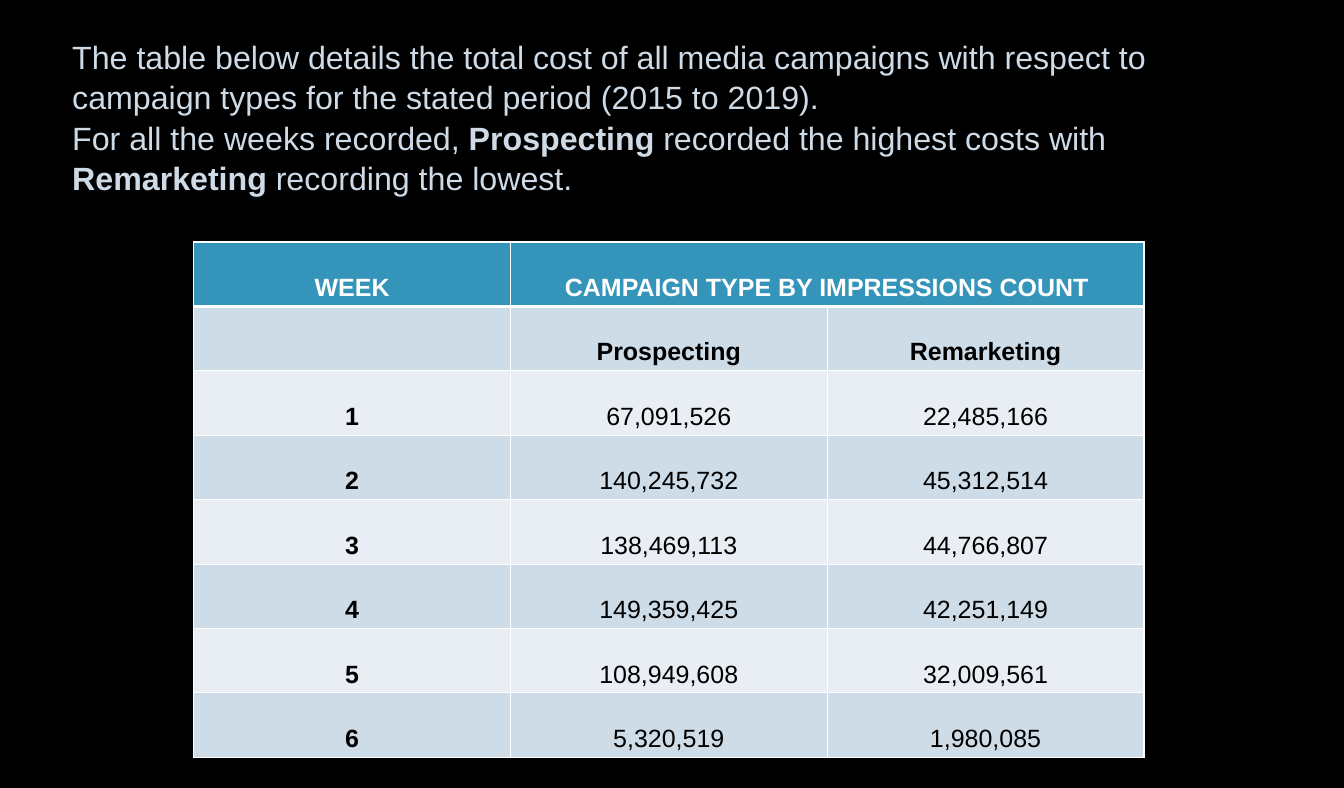
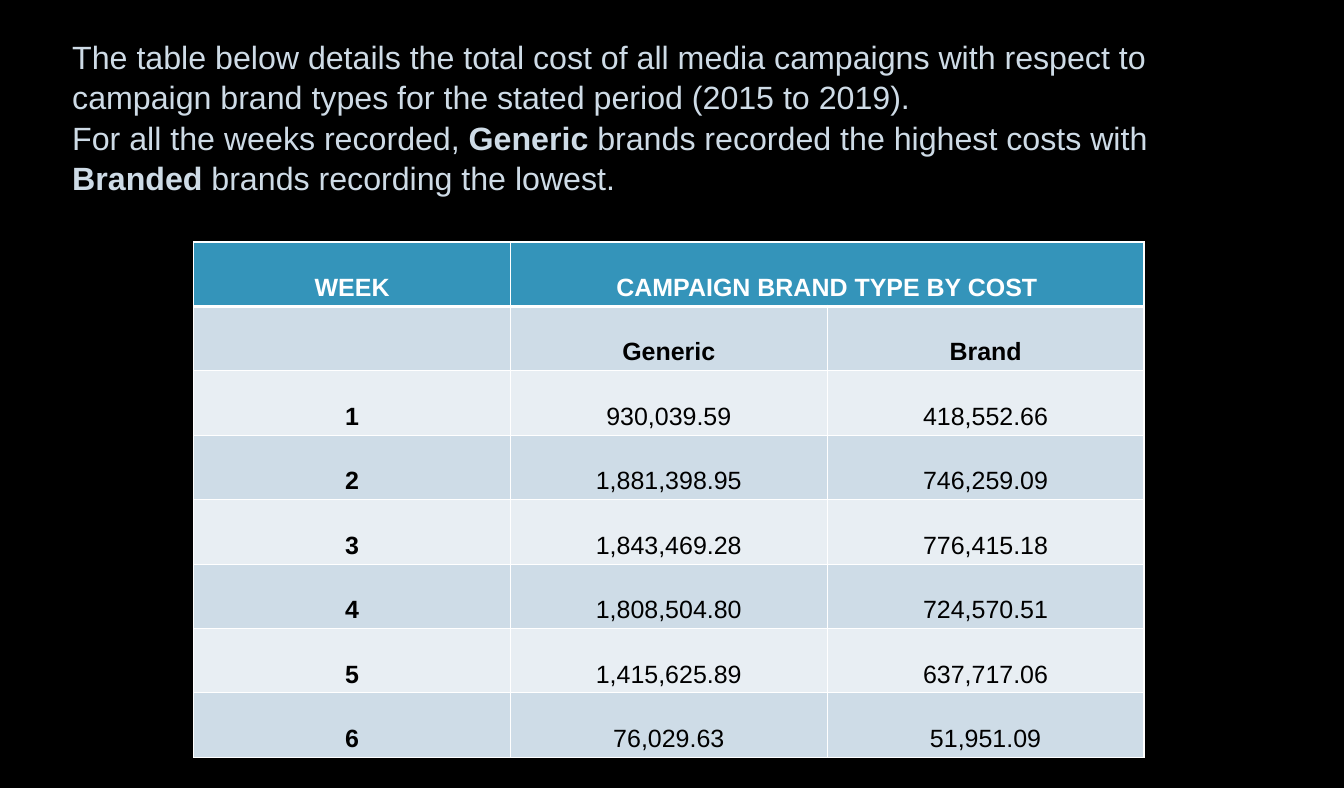
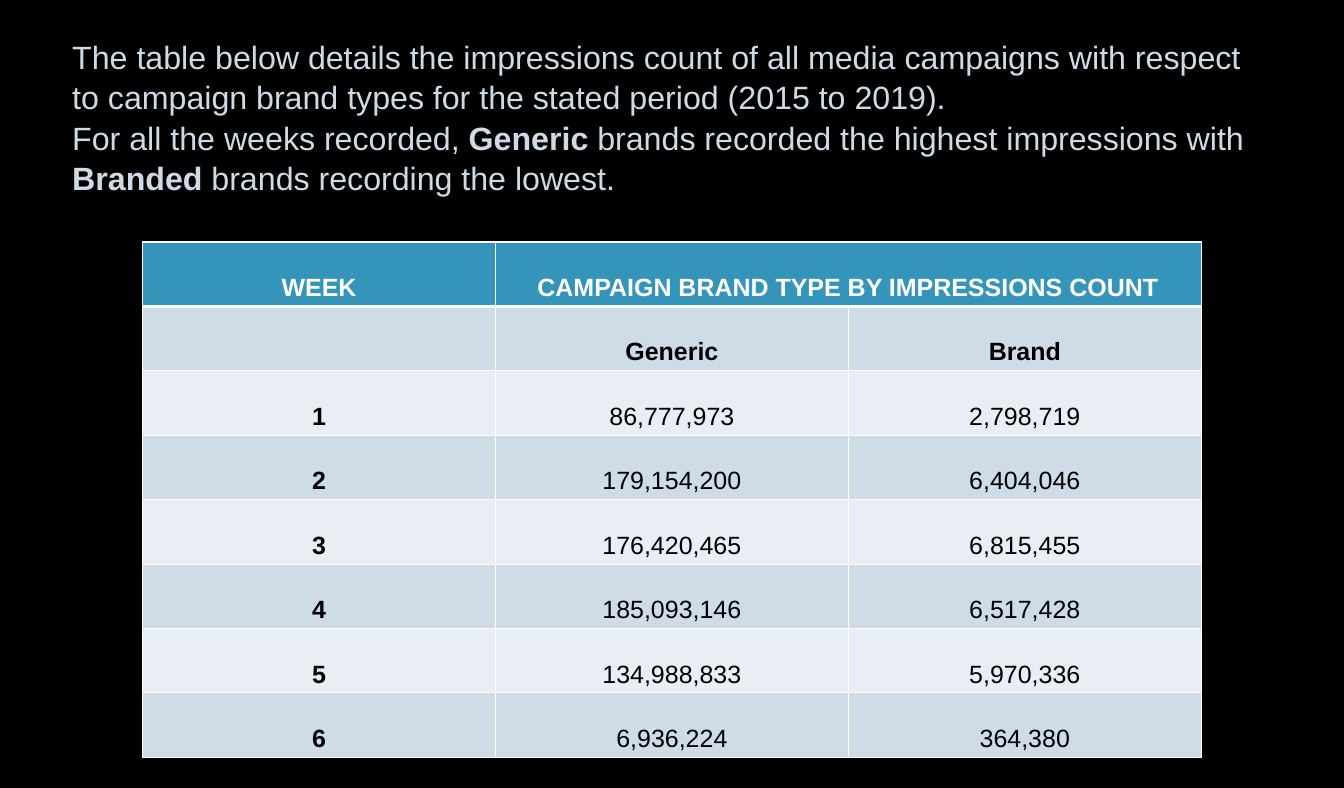
"""Build three slides that each set a cost or impressions table under a short summary."""
from dataclasses import dataclass
from typing import Any

from lxml import etree
from pptx import Presentation
from pptx.dml.color import RGBColor
from pptx.enum import text as t
from pptx.oxml.ns import qn
from pptx.util import Cm, Pt


@dataclass(frozen=True)
class Theme:
    back: str = "000000"
    intro: str = "CEDBE6"
    head: str = "3494BA"
    dark: str = "CEDCE7"
    light: str = "E8EEF3"
    line: str = "FFFFFF"
    ink: str = "000000"
    face: str = "Arial"
    big: float = 25
    small: float = 19.4
    thin: float = 1
    thick: float = 3


@dataclass(frozen=True)
class Page:
    lines: tuple[str, str]
    title: str
    names: tuple[str, str]
    rows: tuple[tuple[str, str], ...]
    left: float = 5.31
    width: float = 26.04


LOOK = Theme()
PAGES = (
    Page(
        ("The table below details the total cost of all media campaigns with respect to "
         "campaign types for the stated period (2015 to 2019).",
         "For all the weeks recorded, *Prospecting* recorded the highest costs with "
         "*Remarketing* recording the lowest."),
        "CAMPAIGN TYPE BY IMPRESSIONS COUNT",
        ("Prospecting", "Remarketing"),
        (("67,091,526", "22,485,166"), ("140,245,732", "45,312,514"),
         ("138,469,113", "44,766,807"), ("149,359,425", "42,251,149"),
         ("108,949,608", "32,009,561"), ("5,320,519", "1,980,085")),
    ),
    Page(
        ("The table below details the total cost of all media campaigns with respect to "
         "campaign brand types for the stated period (2015 to 2019).",
         "For all the weeks recorded, *Generic *brands recorded the highest costs with "
         "*Branded *brands recording the lowest."),
        "CAMPAIGN BRAND TYPE BY COST",
        ("Generic", "Brand"),
        (("930,039.59", "418,552.66"), ("1,881,398.95", "746,259.09"),
         ("1,843,469.28", "776,415.18"), ("1,808,504.80", "724,570.51"),
         ("1,415,625.89", "637,717.06"), ("76,029.63", "51,951.09")),
    ),
    Page(
        ("The table below details the impressions count of all media campaigns with respect "
         "to campaign brand types for the stated period (2015 to 2019).",
         "For all the weeks recorded, *Generic *brands recorded the highest impressions with "
         "*Branded *brands recording the lowest."),
        "CAMPAIGN BRAND TYPE BY IMPRESSIONS COUNT",
        ("Generic", "Brand"),
        (("86,777,973", "2,798,719"), ("179,154,200", "6,404,046"),
         ("176,420,465", "6,815,455"), ("185,093,146", "6,517,428"),
         ("134,988,833", "5,970,336"), ("6,936,224", "364,380")),
        left=3.91,
        width=29.01,
    ),
)


def apply(item: Any, form: dict[str, Any]) -> None:
    for key, val in form.items():
        setattr(item, key, val)


def add_run(para: Any, words: str, size: float, tint: str, bold: bool) -> None:
    run = para.add_run()
    run.text = words
    apply(run.font, {"name": LOOK.face, "size": Pt(size), "bold": bold})
    run.font.color.rgb = RGBColor.from_string(tint)


def add_edge(cell: Any, side: str, width: float) -> None:
    props = cell._tc.get_or_add_tcPr()
    edge = etree.SubElement(props, qn(f"a:ln{side}"), w=str(Pt(width)))
    fill = etree.SubElement(edge, qn("a:solidFill"))
    etree.SubElement(fill, qn("a:srgbClr"), val=LOOK.line)


def add_intro(slide: Any, lines: tuple[str, str]) -> None:
    frame = slide.shapes.add_textbox(Cm(1.73), Cm(0.84), Cm(33.22), Cm(4.52)).text_frame
    apply(frame, {"word_wrap": True, "auto_size": t.MSO_AUTO_SIZE.SHAPE_TO_FIT_TEXT})
    for num, line in enumerate(lines):
        para = frame.add_paragraph() if num else frame.paragraphs[0]
        para.line_spacing = 1.05
        for part, words in enumerate(line.split("*")):
            add_run(para, words, LOOK.big, LOOK.intro, part % 2 == 1)


def add_grid(slide: Any, page: Page) -> None:
    weeks = [(str(num), *row) for num, row in enumerate(page.rows, 1)]
    data = [("WEEK", page.title, ""), ("", *page.names), *weeks]
    grid = slide.shapes.add_table(
        len(data), 3, Cm(page.left), Cm(6.63), Cm(page.width), Cm(14.12)).table
    grid.horz_banding = False
    for row, texts in enumerate(data):
        shade = LOOK.head if row == 0 else LOOK.dark if row % 2 else LOOK.light
        for col, words in enumerate(texts):
            cell = grid.cell(row, col)
            for side in "LRTB":
                heavy = (row, side) in ((0, "B"), (1, "T"))
                add_edge(cell, side, LOOK.thick if heavy else LOOK.thin)
            cell.fill.solid()
            cell.fill.fore_color.rgb = RGBColor.from_string(shade)
            cell.vertical_anchor = t.MSO_ANCHOR.BOTTOM
            if words:
                para = cell.text_frame.paragraphs[0]
                para.alignment = t.PP_ALIGN.CENTER
                tint = LOOK.ink if row else LOOK.line
                add_run(para, words, LOOK.small, tint, row < 2 or col == 0)
    grid.cell(0, 1).merge(grid.cell(0, 2))


def main() -> None:
    deck = Presentation()
    apply(deck, {"slide_width": Cm(36.83), "slide_height": Cm(21.59)})
    for page in PAGES:
        slide = deck.slides.add_slide(deck.slide_layouts[6])
        slide.background.fill.solid()
        slide.background.fill.fore_color.rgb = RGBColor.from_string(LOOK.back)
        add_grid(slide, page)
        add_intro(slide, page.lines)
    deck.save("out.pptx")


if __name__ == "__main__":
    main()
